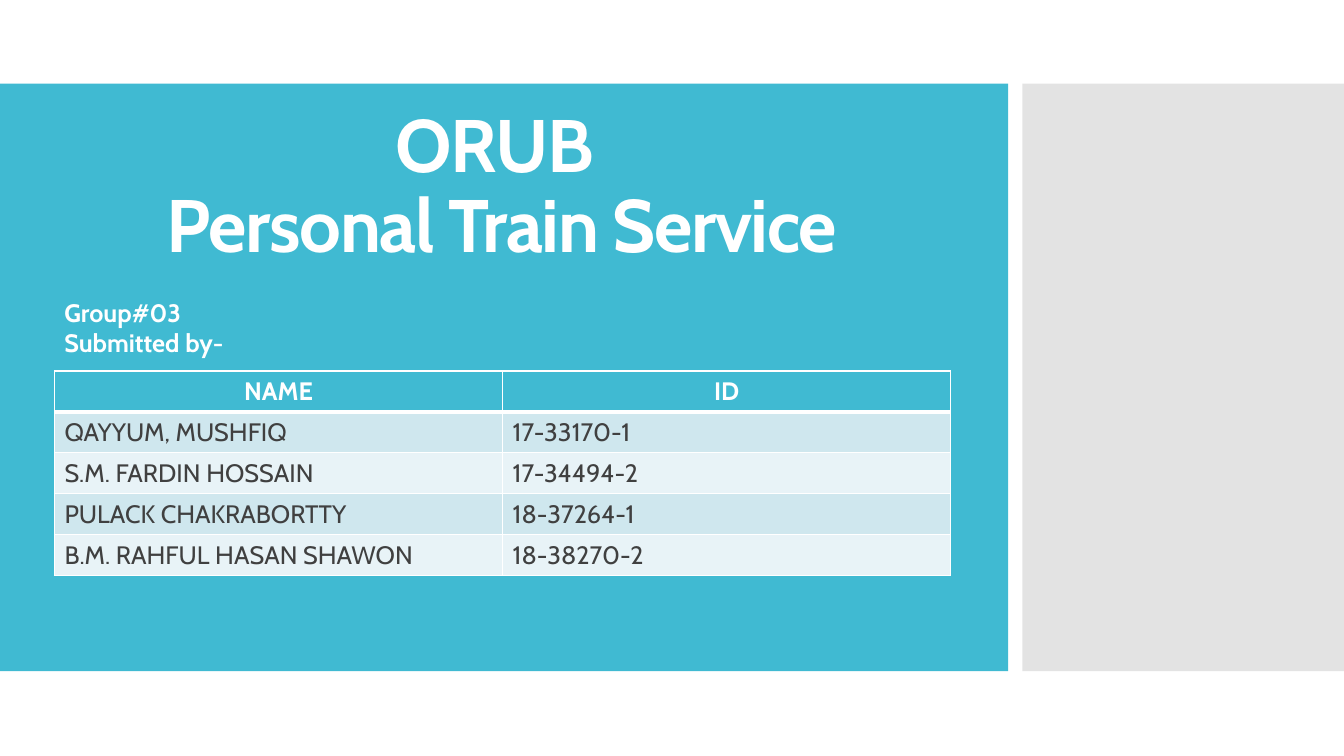
from lxml import etree
from pptx import Presentation
from pptx.dml.color import RGBColor
from pptx.enum.shapes import MSO_SHAPE
from pptx.enum.text import MSO_ANCHOR, PP_ALIGN
from pptx.oxml.ns import qn
from pptx.util import Inches, Pt

RECT = MSO_SHAPE.RECTANGLE
TOP = MSO_ANCHOR.TOP
LEFT, CENTER = PP_ALIGN.LEFT, PP_ALIGN.CENTER

FONT = "Cabin"
TEAL, GRAY, WHITE, INK = "40BAD2", "C8C8C8", "FFFFFF", "404040"
BANDS = ("CFE7EE", "E8F3F7")
ROWS = [
    ("NAME", "ID"),
    ("QAYYUM, MUSHFIQ", "17-33170-1"),
    ("S.M. FARDIN HOSSAIN", "17-34494-2"),
    ("PULACK CHAKRABORTTY", "18-37264-1"),
    ("B.M. RAHFUL HASAN SHAWON", "18-38270-2"),
]


def paint(fill, color):
    fill.solid()
    fill.fore_color.rgb = RGBColor.from_string(color)


def add_panel(slide, box, color, alpha=None):
    """Add a plain rectangle; alpha is its opacity in percent."""
    panel = slide.shapes.add_shape(RECT, *map(Inches, box))
    panel.shadow.inherit = False
    panel.line.fill.background()
    paint(panel.fill, color)
    if alpha is not None:
        tint = panel.fill._xPr.find(".//" + qn("a:srgbClr"))
        etree.SubElement(tint, qn("a:alpha"), val=str(alpha * 1000))


def add_run(para, text, size, color=WHITE, bold=True):
    run = para.add_run()
    run.text = text
    run.font.name = FONT
    run.font.size = Pt(size)
    run.font.bold = bold
    run.font.color.rgb = RGBColor.from_string(color)
    return run


def add_frame(slide, box):
    frame = slide.shapes.add_textbox(*map(Inches, box)).text_frame
    frame.word_wrap = True
    frame.vertical_anchor = TOP
    return frame


def add_title(slide, box, lines):
    frame = add_frame(slide, box)
    frame.margin_top = Inches(0.02)
    para = frame.paragraphs[0]
    para.alignment = CENTER
    para.line_spacing = 0.9
    for i, line in enumerate(lines):
        if i:
            para.add_line_break()
        run = add_run(para, line, 53.1)
        run.font._element.set("spc", "-100")


def add_label(slide, box, lines):
    frame = add_frame(slide, box)
    for i, line in enumerate(lines):
        para = frame.add_paragraph() if i else frame.paragraphs[0]
        add_run(para, line, 18)


def set_edges(cell, top, bottom):
    """Draw white cell borders, with top and bottom widths in points."""
    props = cell._tc.get_or_add_tcPr()
    for side, width in (("L", 1), ("R", 1), ("T", top), ("B", bottom)):
        line = etree.SubElement(props, qn("a:ln" + side), w=str(Pt(width)))
        solid = etree.SubElement(line, qn("a:solidFill"))
        etree.SubElement(solid, qn("a:srgbClr"), val=WHITE)


def add_roster(slide, box, rows):
    grid = slide.shapes.add_table(len(rows), len(rows[0]), *map(Inches, box))
    for r, row in enumerate(rows):
        head = r == 0
        for c, text in enumerate(row):
            cell = grid.table.cell(r, c)
            set_edges(cell, 3 if r == 1 else 1, 3 if head else 1)
            paint(cell.fill, TEAL if head else BANDS[(r - 1) % 2])
            para = cell.text_frame.paragraphs[0]
            para.alignment = CENTER if head else LEFT
            add_run(para, text, 18, WHITE if head else INK, head)


def main():
    deck = Presentation()
    deck.slide_width, deck.slide_height = Inches(13.33), Inches(7.5)
    slide = deck.slides.add_slide(deck.slide_layouts[6])
    paint(slide.background.fill, WHITE)
    add_panel(slide, (0, 0.83, 10, 5.83), TEAL)
    add_panel(slide, (10.14, 0.83, 3.19, 5.83), GRAY, 50)
    add_title(slide, (0.23, 1.05, 9.5, 2.49),
              ["ORUB ", "Personal Train Service"])
    add_roster(slide, (0.54, 3.68, 8.89, 2.03), ROWS)
    add_label(slide, (0.54, 2.9, 5.2, 0.71), ["Group#03", "Submitted by-"])
    deck.save("out.pptx")


if __name__ == "__main__":
    main()
